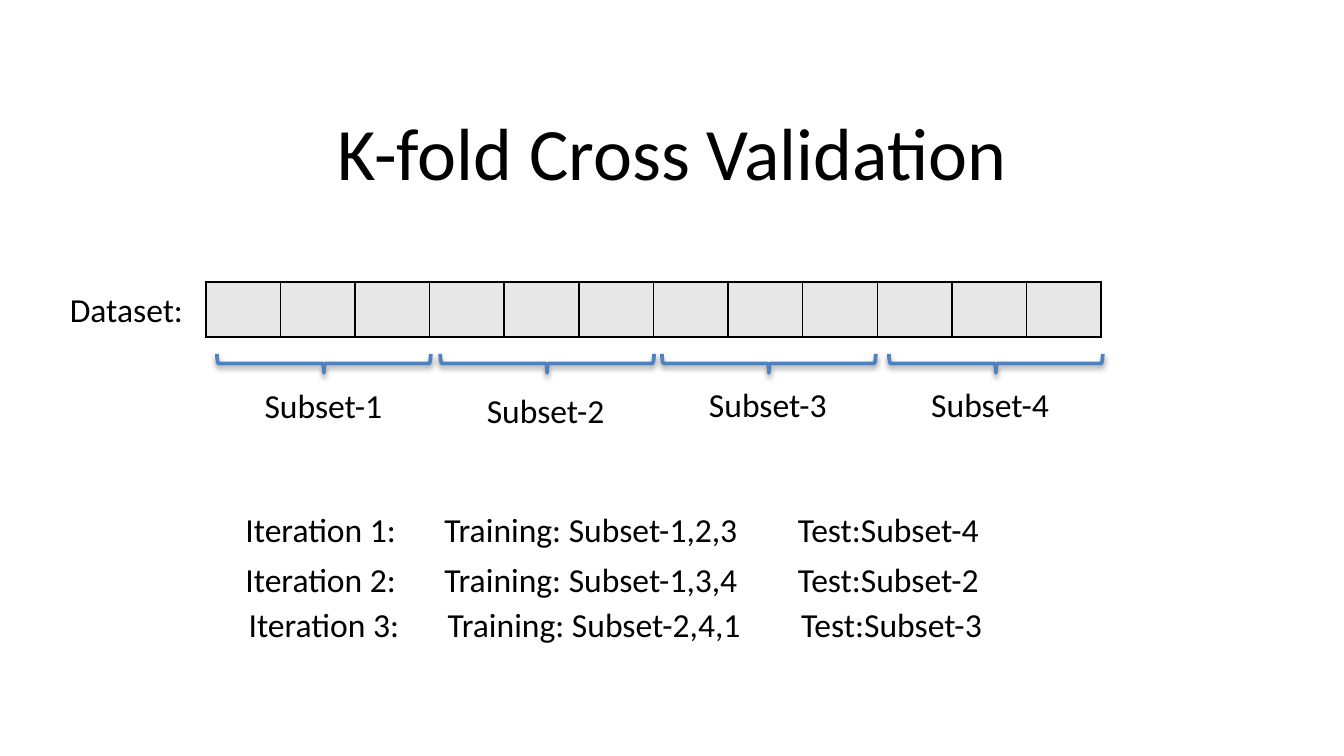
from lxml import etree
from pptx import Presentation
from pptx import util as u
from pptx.dml.color import RGBColor
from pptx.enum import shapes, text
from pptx.oxml import parse_xml
from pptx.oxml.ns import nsdecls, qn

FONT = "Calibri"
BLACK, GREY, BLUE = "000000", "E7E7E7", "4F81BD"
SAMPLES = 12
SAMPLE_WIDTH, SAMPLE_HEIGHT = 1.41, 1.04
BRACE_LEFTS = (5.94, 10.16, 14.35, 18.64)
SUBSET_LEFT, SUBSET_STEP = 4.75, 4.2
SUBSET_TOPS = (7.16, 7.24, 7.14, 7.14)
COLUMNS = ((4.39, 3.4), (8.15, 6.12), (14.83, 3.96))  # left, width
ITERATIONS = (  # top, shift to the right, training subsets, test subset
    (9.5, 0, "1,2,3", 4),
    (10.44, 0, "1,3,4", 2),
    (11.3, 0.06, "2,4,1", 3),
)


def color(value):
    """Turn a hex string into a colour."""
    return RGBColor.from_string(value)


def set_font(paragraph, size):
    """Apply the slide's typeface in black at the given size."""
    paragraph.font.name = FONT
    paragraph.font.size = u.Pt(size)
    paragraph.font.color.rgb = color(BLACK)


def place(shape, left, top, width, height):
    """Move and size a shape, in centimetres."""
    shape.left, shape.top = u.Cm(left), u.Cm(top)
    shape.width, shape.height = u.Cm(width), u.Cm(height)


def add_title(slide, wording):
    """Fill the title placeholder."""
    title = slide.shapes.title
    place(title, 1.27, 1.96, 22.86, 1.78)
    frame = title.text_frame
    frame.text = wording
    frame.auto_size = text.MSO_AUTO_SIZE.NONE
    frame.vertical_anchor = text.MSO_ANCHOR.MIDDLE
    paragraph = frame.paragraphs[0]
    paragraph.alignment = text.PP_ALIGN.CENTER
    set_font(paragraph, 39.6)


def add_label(slide, wording, left, top, width):
    """Add a one-line label that grows with its text."""
    label = slide.shapes.add_textbox(u.Cm(left), u.Cm(top), u.Cm(width), u.Cm(1.02))
    frame = label.text_frame
    frame.text = wording
    frame.word_wrap = False
    frame.auto_size = text.MSO_AUTO_SIZE.SHAPE_TO_FIT_TEXT
    set_font(frame.paragraphs[0], 18)


def add_borders(cell):
    """Draw a thin black border on all sides of a cell."""
    properties = cell._tc.get_or_add_tcPr()
    for index, side in enumerate(("lnL", "lnR", "lnT", "lnB")):
        properties.insert(index, parse_xml(
            f'<a:{side} {nsdecls("a")} w="12700"><a:solidFill>'
            f'<a:srgbClr val="{BLACK}"/></a:solidFill></a:{side}>'))


def add_dataset(slide):
    """Add the row of samples as a one-row table."""
    table = slide.shapes.add_table(
        1, SAMPLES, u.Cm(3.89), u.Cm(5.33),
        u.Cm(SAMPLES * SAMPLE_WIDTH), u.Cm(SAMPLE_HEIGHT)).table
    table.first_row = table.horz_banding = False
    for column in table.columns:
        column.width = u.Cm(SAMPLE_WIDTH)
    for cell in table.iter_cells():
        cell.fill.solid()
        cell.fill.fore_color.rgb = color(GREY)
        add_borders(cell)


def add_brace(slide, left):
    """Add a brace that points down, with a soft shadow."""
    brace = slide.shapes.add_shape(
        shapes.MSO_SHAPE.RIGHT_BRACE, u.Cm(left), u.Cm(4.85), u.Cm(0.36), u.Cm(4.04))
    brace.rotation = 90
    brace.fill.background()
    brace.line.color.rgb = color(BLUE)
    brace.line.width = u.Pt(2)
    brace.shadow.inherit = False
    effects = brace._element.spPr.find(qn("a:effectLst"))
    shadow = etree.SubElement(
        effects, qn("a:outerShdw"), blurRad=str(u.Pt(3.1)), dist=str(u.Pt(1.6)),
        dir="5400000", rotWithShape="0")
    tint = etree.SubElement(shadow, qn("a:srgbClr"), val=BLACK)
    etree.SubElement(tint, qn("a:alpha"), val="38000")


def add_iteration(slide, number, top, shift, training, test):
    """Add one line that tells the training and test subsets."""
    wordings = (f"Iteration {number}:", f"Training: Subset-{training}", f"Test:Subset-{test}")
    for wording, (left, width) in zip(wordings, COLUMNS):
        add_label(slide, wording, left + shift, top, width)


def main():
    """Build the slide and save it."""
    presentation = Presentation()
    presentation.slide_width, presentation.slide_height = u.Cm(25.4), u.Cm(14.29)
    slide = presentation.slides.add_slide(presentation.slide_layouts[5])
    add_title(slide, "K-fold Cross Validation")
    add_label(slide, "Dataset:", 1.07, 5.33, 2.67)
    add_dataset(slide)
    for left in BRACE_LEFTS:
        add_brace(slide, left)
    for index, top in enumerate(SUBSET_TOPS):
        add_label(slide, f"Subset-{index + 1}", SUBSET_LEFT + index * SUBSET_STEP, top, 2.77)
    for number, iteration in enumerate(ITERATIONS, 1):
        add_iteration(slide, number, *iteration)
    presentation.save("out.pptx")


main()
